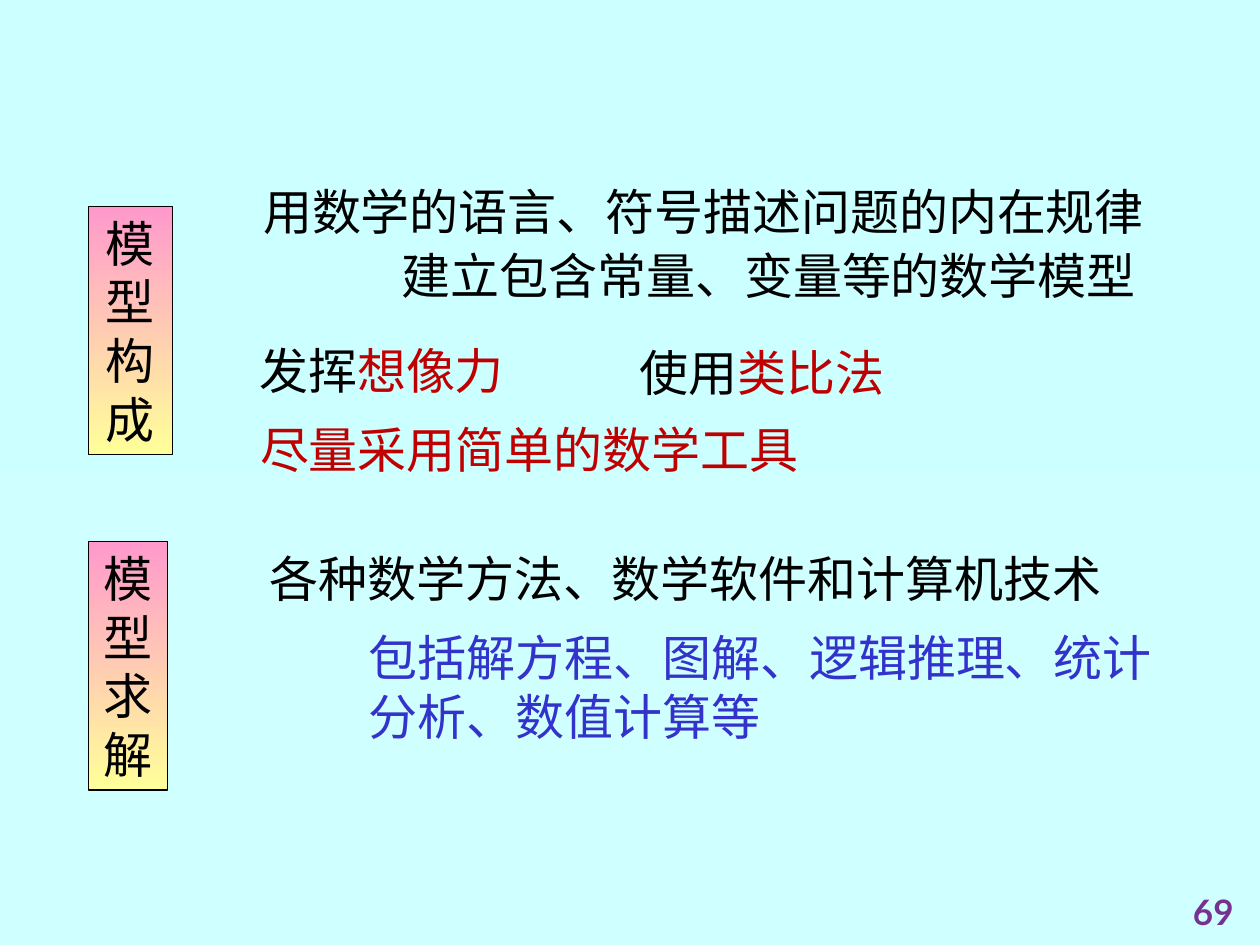
from dataclasses import dataclass

import pptx
import pptx.dml.color
import pptx.enum.shapes
import pptx.enum.text
import pptx.util

Inches = pptx.util.Inches
Align = pptx.enum.text.PP_ALIGN
Anchor = pptx.enum.text.MSO_ANCHOR


@dataclass(frozen=True)
class Theme:
    page_top: str = "CCFFFF"
    page_bottom: str = "D0FFFF"
    label_top: str = "FF99CC"
    label_bottom: str = "FFFF99"
    ink: str = "000000"
    accent: str = "C00000"
    detail: str = "3333CC"
    number: str = "763191"
    text_font: str = "Times New Roman"
    tool_font: str = "Noto Sans CJK JP"
    number_font: str = "Lato"
    text_size: int = 28
    number_size: int = 20
    outline: float = 0.75


THEME = Theme()


@dataclass(frozen=True)
class Span:
    text: str
    color: str = THEME.ink
    font: str = THEME.text_font
    size: int = THEME.text_size
    bold: bool = False


@dataclass(frozen=True)
class Statement:
    left: float
    top: float
    width: float
    spans: tuple[Span, ...]
    height: float = 0.57
    align: Align = Align.LEFT
    anchor: Anchor = Anchor.MIDDLE


@dataclass(frozen=True)
class StageLabel:
    top: float
    width: float
    text: str
    left: float = 0.7
    height: float = 1.97


LABELS = (
    StageLabel(1.64, 0.67, "模型构成"),
    StageLabel(4.3, 0.63, "模型求解"),
)

STATEMENTS = (
    Statement(1.99, 1.39, 7.37, (Span("用数学的语言、符号描述问题的内在规律"),)),
    Statement(3.09, 1.9, 6.27, (Span("建立包含常量、变量等的数学模型"),)),
    Statement(1.96, 2.65, 2.5, (Span("发挥"), Span("想像力", THEME.accent))),
    Statement(4.8, 2.67, 2.5, (Span("使用"), Span("类比法", THEME.accent)), align=Align.CENTER),
    Statement(
        1.95, 3.28, 4.5,
        (Span("尽量采用简单的数学工具", THEME.accent, THEME.tool_font),),
        align=Align.CENTER,
    ),
    Statement(2.04, 4.3, 6.98, (Span("各种数学方法、数学软件和计算机技术"),)),
    Statement(
        2.83, 4.93, 6.54,
        (Span("包括解方程、图解、逻辑推理、统计分析、数值计算等", THEME.detail),),
        height=1.04,
    ),
    Statement(
        9.26, 7.02, 0.74,
        (Span("69", THEME.number, THEME.number_font, THEME.number_size, True),),
        height=0.48, align=Align.CENTER, anchor=Anchor.TOP,
    ),
)


def rgb(value: str) -> pptx.dml.color.RGBColor:
    return pptx.dml.color.RGBColor.from_string(value)


def fill_downward(fill: pptx.dml.fill.FillFormat, top: str, bottom: str) -> None:
    fill.gradient()
    fill.gradient_angle = 270
    for stop, color, position in zip(fill.gradient_stops, (top, bottom), (0, 1)):
        stop.color.rgb = rgb(color)
        stop.position = position


def add_spans(para: pptx.text.text._Paragraph, spans: tuple[Span, ...], align: Align) -> None:
    para.alignment = align
    for span in spans:
        run = para.add_run()
        run.text = span.text
        run.font.name = span.font
        run.font.size = pptx.util.Pt(span.size)
        run.font.bold = span.bold
        run.font.color.rgb = rgb(span.color)


def add_label(page: pptx.slide.Slide, label: StageLabel) -> None:
    box = page.shapes.add_shape(
        pptx.enum.shapes.MSO_SHAPE.RECTANGLE,
        Inches(label.left), Inches(label.top), Inches(label.width), Inches(label.height),
    )
    box.shadow.inherit = False
    fill_downward(box.fill, THEME.label_top, THEME.label_bottom)
    box.line.color.rgb = rgb(THEME.ink)
    box.line.width = pptx.util.Pt(THEME.outline)
    frame = box.text_frame
    frame.word_wrap = True
    frame.vertical_anchor = Anchor.MIDDLE
    for index, character in enumerate(label.text):
        para = frame.add_paragraph() if index else frame.paragraphs[0]
        add_spans(para, (Span(character),), Align.CENTER)


def add_statement(page: pptx.slide.Slide, statement: Statement) -> None:
    box = page.shapes.add_textbox(
        Inches(statement.left), Inches(statement.top),
        Inches(statement.width), Inches(statement.height),
    )
    frame = box.text_frame
    frame.word_wrap = True
    frame.vertical_anchor = statement.anchor
    add_spans(frame.paragraphs[0], statement.spans, statement.align)


def main() -> None:
    deck = pptx.Presentation()
    deck.slide_width = Inches(10)
    deck.slide_height = Inches(7.5)
    page = deck.slides.add_slide(deck.slide_layouts[6])
    fill_downward(page.background.fill, THEME.page_top, THEME.page_bottom)
    for label in LABELS:
        add_label(page, label)
    for statement in STATEMENTS:
        add_statement(page, statement)
    deck.save("out.pptx")


if __name__ == "__main__":
    main()
